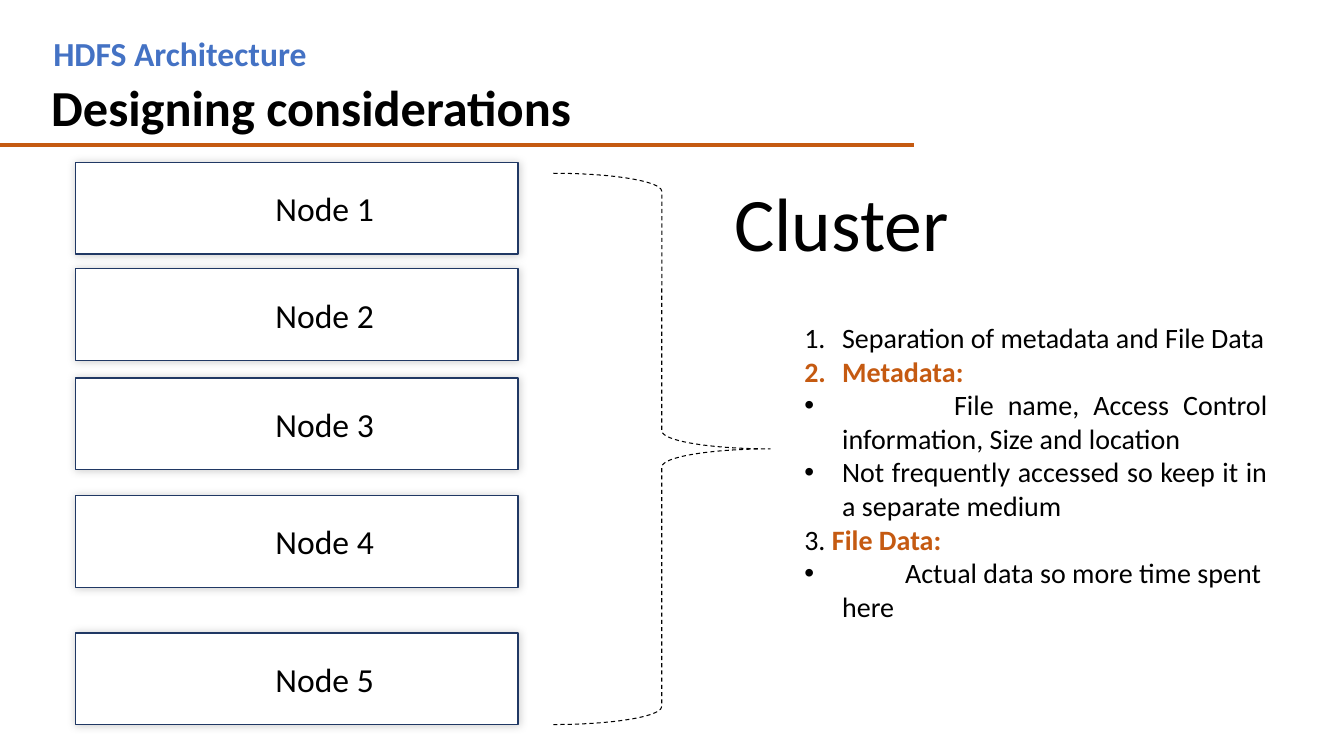
from dataclasses import dataclass

from lxml import etree
from pptx import Presentation, util as u
from pptx.dml.color import RGBColor
from pptx.enum import dml, shapes, text
from pptx.oxml.ns import qn

Pt = u.Pt
COLORS = {"ink": "000000", "paper": "FFFFFF", "blue": "4472C4",
          "navy": "203864", "orange": "C55A11"}
FONT = "Calibri"
HANG = 27


@dataclass
class Label:
    text: str
    left: float
    top: float
    width: float
    height: float
    size: float
    color: str = "ink"
    bold: bool = False
    centered: bool = False


@dataclass
class Point:
    text: str
    marker: str = ""  # "number", "bullet" or none
    heading: str = ""
    justified: bool = False
    tab: float = 0


LABELS = [
    Label("Designing considerations", 29.5, 51, 630, 51, 36, bold=True),
    Label("HDFS Architecture", 31, 20.2, 590, 36, 24, "blue", bold=True),
    Label("Cluster", 507.6, 122.4, 187.2, 72.7, 54, centered=True),
]
NODE_TOPS = [116, 192, 270, 354, 452]
POINTS = [
    Point("Separation of metadata and File Data", "number"),
    Point("", "number", heading="Metadata:"),
    Point("\tFile name, Access Control information, Size and location",
          "bullet", justified=True, tab=107),
    Point("Not frequently accessed so keep it in a separate medium",
          "bullet", justified=True),
    Point("3. ", heading="File Data:"),
    Point("\tActual data so more time spent here", "bullet", tab=72),
]


def rgb(name: str) -> RGBColor:
    return RGBColor.from_string(COLORS[name])


def style(r, size: float, color: str = "ink", bold: bool = False) -> None:
    r.font.name = FONT
    r.font.size = Pt(size)
    r.font.bold = bold
    r.font.color.rgb = rgb(color)


def add_label(s, label: Label) -> None:
    sp = s.shapes.add_textbox(Pt(label.left), Pt(label.top),
                              Pt(label.width), Pt(label.height))
    tf = sp.text_frame
    tf.word_wrap = not label.centered
    tf.text = label.text
    p = tf.paragraphs[0]
    if label.centered:
        p.alignment = text.PP_ALIGN.CENTER
    style(p.runs[0], label.size, label.color, label.bold)


def add_soft_shadow(sp) -> None:
    sp.shadow.inherit = False
    effects = sp._element.spPr.find(qn("a:effectLst"))
    shadow = etree.SubElement(effects, qn("a:outerShdw"), blurRad=str(Pt(6)),
                              dist="0", dir="13500000", algn="ctr")
    color = etree.SubElement(shadow, qn("a:srgbClr"), val=COLORS["ink"])
    etree.SubElement(color, qn("a:alpha"), val="20000")


def add_node(s, number: int, top: float) -> None:
    sp = s.shapes.add_shape(shapes.MSO_SHAPE.RECTANGLE, Pt(54), Pt(top),
                            Pt(316), Pt(65.5))
    sp.fill.solid()
    sp.fill.fore_color.rgb = rgb("paper")
    sp.line.color.rgb = rgb("navy")
    sp.line.width = Pt(1)
    add_soft_shadow(sp)
    tf = sp.text_frame
    tf.margin_left = Pt(47)  # sets the caption right of centre
    tf.vertical_anchor = text.MSO_ANCHOR.MIDDLE
    tf.text = f"Node {number}"
    p = tf.paragraphs[0]
    p.alignment = text.PP_ALIGN.CENTER
    style(p.runs[0], 24)


def add_marker(p, point: Point) -> None:
    pPr = p._p.get_or_add_pPr()
    if point.marker:
        pPr.set("marL", str(Pt(HANG)))
        pPr.set("indent", str(-Pt(HANG)))
    if point.marker == "number":
        etree.SubElement(pPr, qn("a:buFont"), typeface="+mj-lt")
        etree.SubElement(pPr, qn("a:buAutoNum"), type="arabicPeriod")
    elif point.marker == "bullet":
        etree.SubElement(pPr, qn("a:buFont"), typeface="Arial")
        etree.SubElement(pPr, qn("a:buChar"), char="•")
    if point.tab:
        tabs = etree.SubElement(pPr, qn("a:tabLst"))
        etree.SubElement(tabs, qn("a:tab"), pos=str(Pt(point.tab)), algn="l")


def add_points(s, points: list[Point]) -> None:
    sp = s.shapes.add_textbox(Pt(567.4), Pt(225.4), Pt(345), Pt(276.5))
    tf = sp.text_frame
    tf.word_wrap = True
    for i, point in enumerate(points):
        p = tf.add_paragraph() if i else tf.paragraphs[0]
        add_marker(p, point)
        if point.justified:
            p.alignment = text.PP_ALIGN.JUSTIFY
        if point.text:
            r = p.add_run()
            r.text = point.text
            style(r, 20)
        if point.heading:
            r = p.add_run()
            r.text = point.heading
            style(r, 20, "orange", bold=True)


def add_title_rule(s) -> None:
    rule = s.shapes.add_connector(shapes.MSO_CONNECTOR.STRAIGHT,
                                  Pt(-0.7), Pt(103.7), Pt(653), Pt(103.7))
    rule.line.color.rgb = rgb("orange")
    rule.line.width = Pt(3)
    etree.SubElement(rule._element.spPr, qn("a:effectLst"))


def add_cluster_brace(s) -> None:
    brace = s.shapes.add_shape(shapes.MSO_SHAPE.RIGHT_BRACE, Pt(395.3),
                               Pt(123.8), Pt(154.8), Pt(393.8))
    brace.fill.background()
    brace.line.color.rgb = rgb("ink")
    brace.line.width = Pt(0.75)
    brace.line.dash_style = dml.MSO_LINE.DASH
    brace.shadow.inherit = False


def main() -> None:
    prs = Presentation()
    prs.slide_width, prs.slide_height = Pt(960), Pt(540)
    s = prs.slides.add_slide(prs.slide_layouts[6])

    # Titles and rule
    for label in LABELS:
        add_label(s, label)
    add_title_rule(s)

    # Nodes gathered into a cluster
    for number, top in enumerate(NODE_TOPS, start=1):
        add_node(s, number, top)
    add_cluster_brace(s)

    # Design points
    add_points(s, POINTS)
    prs.save("out.pptx")


if __name__ == "__main__":
    main()
